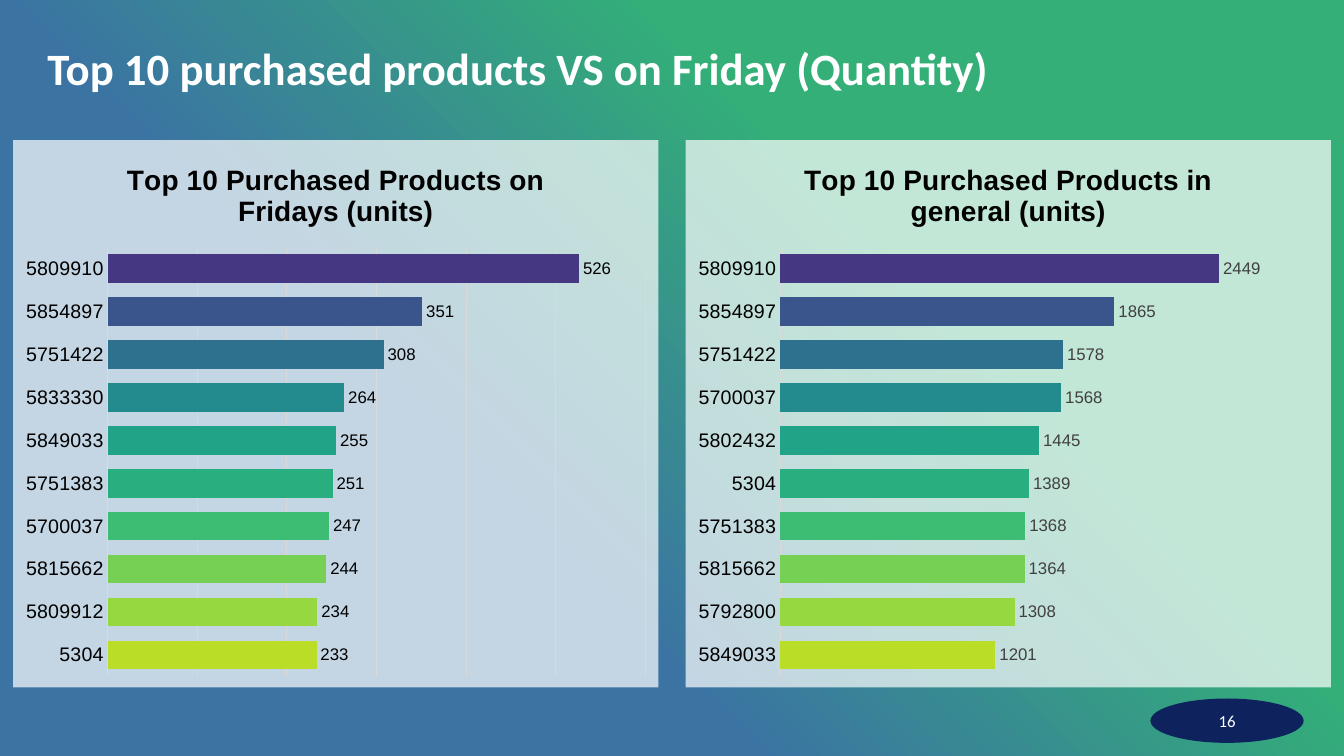
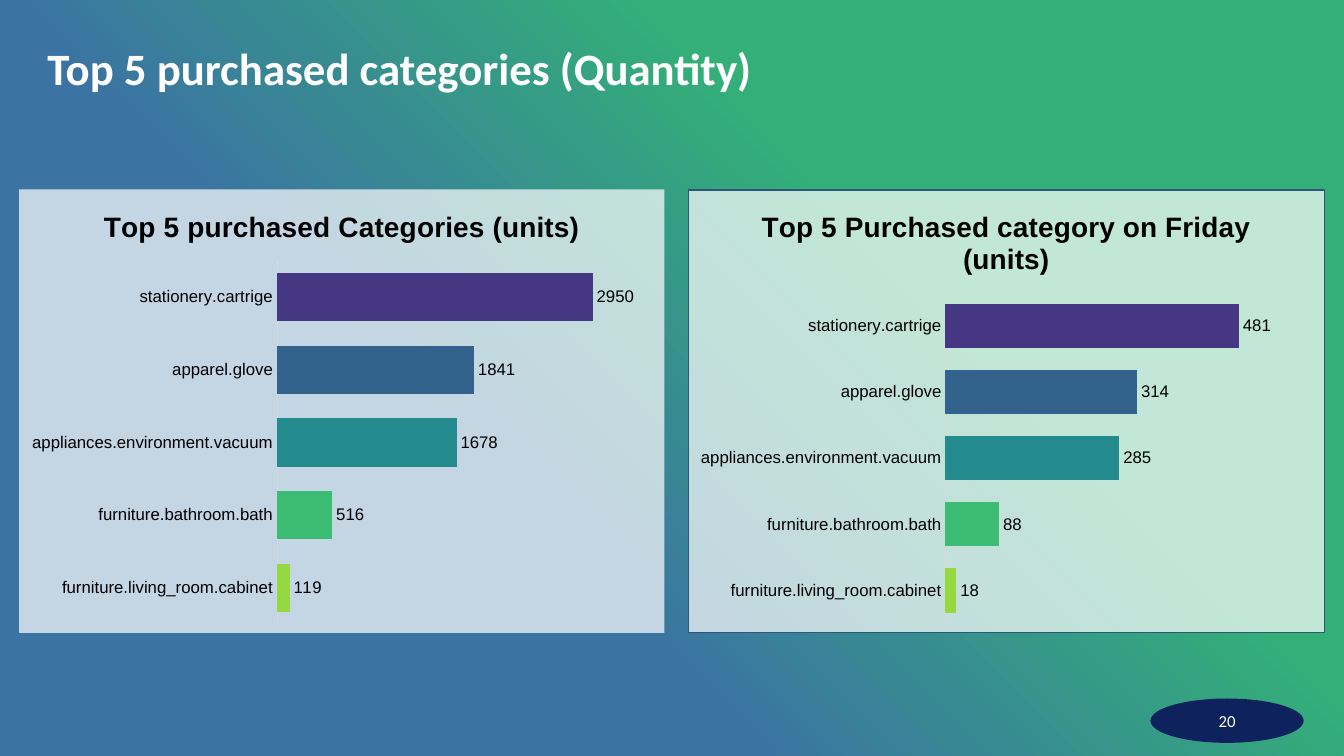
import lxml.etree
import pptx
import pptx.chart.data
import pptx.dml.color
import pptx.enum.chart
import pptx.enum.shapes
import pptx.enum.text
import pptx.oxml
import pptx.oxml.ns
import pptx.util
from pptx.util import Inches

COLORS = {
    "green": "33AF77",
    "blue": "3B74A3",
    "navy": "0E225E",
    "border": "2C567A",
    "white": "FFFFFF",
    "black": "000000",
    "gray": "404040",
    "rule": "D9D9D9",
}
TEN_BARS = ["453781", "39558C", "2D718E", "238A8D", "20A386",
            "29AF7F", "3DBC74", "75D054", "95D840", "BADE28"]
FIVE_BARS = ["453781", "33638D", "238A8D", "3DBC74", "95D840"]
GRADIENT_STOPS = [(0, "green"), (33, "green"), (64, "blue"), (100, "blue")]

TITLE_FONT = "Calibri"
CHART_FONT = "Arial"
TITLE_ONLY_LAYOUT = 5

# Products and categories run from the top bar down.
FRIDAY_PRODUCTS = [
    ("5809910", 526), ("5854897", 351), ("5751422", 308), ("5833330", 264),
    ("5849033", 255), ("5751383", 251), ("5700037", 247), ("5815662", 244),
    ("5809912", 234), ("5304", 233),
]
ALL_PRODUCTS = [
    ("5809910", 2449), ("5854897", 1865), ("5751422", 1578), ("5700037", 1568),
    ("5802432", 1445), ("5304", 1389), ("5751383", 1368), ("5815662", 1364),
    ("5792800", 1308), ("5849033", 1201),
]
CATEGORIES = ["stationery.cartrige", "apparel.glove", "appliances.environment.vacuum",
              "furniture.bathroom.bath", "furniture.living_room.cabinet"]
ALL_CATEGORIES = list(zip(CATEGORIES, [2950, 1841, 1678, 516, 119]))
FRIDAY_CATEGORIES = list(zip(CATEGORIES, [481, 314, 285, 88, 18]))


def rgb(hex_color):
    return pptx.dml.color.RGBColor.from_string(hex_color)


def style_font(font, name, size, color, bold=False):
    font.name = name
    font.size = pptx.util.Pt(size)
    font.bold = bold
    font.color.rgb = rgb(COLORS[color])


def set_gradient_background(master):
    """Blend from green at the top right corner to blue at the bottom left."""
    master.background.fill.solid()
    stops = "".join(
        f'<a:gs pos="{position * 1000}"><a:srgbClr val="{COLORS[color]}"/></a:gs>'
        for position, color in GRADIENT_STOPS
    )
    gradient = pptx.oxml.parse_xml(
        f'<a:gradFill {pptx.oxml.ns.nsdecls("a")} rotWithShape="1"><a:gsLst>{stops}</a:gsLst>'
        '<a:path path="circle"><a:fillToRect l="100000" b="100000"/></a:path>'
        '<a:tileRect t="-100000" r="-100000"/></a:gradFill>'
    )
    properties = master.element.find(".//" + pptx.oxml.ns.qn("p:bgPr"))
    properties.replace(properties.find(pptx.oxml.ns.qn("a:solidFill")), gradient)


def set_title(slide, text):
    title = slide.shapes.title
    title.left, title.top = Inches(0.47), Inches(0.47)
    title.width, title.height = Inches(12.39), Inches(0.47)
    frame = title.text_frame
    frame.margin_left = frame.margin_right = frame.margin_top = frame.margin_bottom = 0
    frame.vertical_anchor = pptx.enum.text.MSO_ANCHOR.MIDDLE
    paragraph = frame.paragraphs[0]
    paragraph.alignment = pptx.enum.text.PP_ALIGN.LEFT
    paragraph.line_spacing = 0.9
    run = paragraph.add_run()
    run.text = text
    style_font(run.font, TITLE_FONT, 32, "white", bold=True)


def add_page_badge(slide, number):
    badge = slide.shapes.add_shape(
        pptx.enum.shapes.MSO_SHAPE.OVAL,
        Inches(11.41), Inches(6.93), Inches(1.52), Inches(0.44))
    badge.shadow.inherit = False
    badge.fill.solid()
    badge.fill.fore_color.rgb = rgb(COLORS["navy"])
    badge.line.fill.background()
    badge.text_frame.vertical_anchor = pptx.enum.text.MSO_ANCHOR.MIDDLE
    paragraph = badge.text_frame.paragraphs[0]
    paragraph.alignment = pptx.enum.text.PP_ALIGN.CENTER
    run = paragraph.add_run()
    run.text = str(number)
    style_font(run.font, TITLE_FONT, 12, "white")


def set_chart_panel(chart, border):
    """Put a translucent white panel behind the chart."""
    if border:
        line = (f'<a:ln w="9525"><a:solidFill><a:srgbClr val="{COLORS[border]}"/>'
                '</a:solidFill></a:ln>')
    else:
        line = "<a:ln><a:noFill/></a:ln>"
    panel = pptx.oxml.parse_xml(
        f'<c:spPr {pptx.oxml.ns.nsdecls("c", "a")}><a:solidFill>'
        f'<a:srgbClr val="{COLORS["white"]}"><a:alpha val="70000"/></a:srgbClr>'
        f'</a:solidFill>{line}</c:spPr>'
    )
    chart.element.find(pptx.oxml.ns.qn("c:chart")).addnext(panel)


def set_chart_title(chart, text):
    chart.has_title = True
    run = chart.chart_title.text_frame.paragraphs[0].add_run()
    run.text = text
    style_font(run.font, CHART_FONT, 20, "black", bold=True)
    chart.chart_title.include_in_layout = False


def style_rule(line):
    line.color.rgb = rgb(COLORS["rule"])
    line.width = pptx.util.Pt(0.75)


def style_axes(chart, category_size, gridlines):
    category_axis = chart.category_axis
    category_axis.major_tick_mark = pptx.enum.chart.XL_TICK_MARK.NONE
    category_axis.minor_tick_mark = pptx.enum.chart.XL_TICK_MARK.NONE
    style_font(category_axis.tick_labels.font, CHART_FONT, category_size, "black")
    style_rule(category_axis.format.line)

    value_axis = chart.value_axis
    value_axis.minimum_scale = 0
    value_axis.has_major_gridlines = gridlines
    if gridlines:
        style_rule(value_axis.major_gridlines.format.line)
    value_axis.visible = False


def style_bars(plot, colors, label_color):
    plot.gap_width = 50
    plot.vary_by_categories = False
    series = plot.series[0]
    series.invert_if_negative = False
    for index, color in enumerate(colors):
        fill = series.points[index].format.fill
        fill.solid()
        fill.fore_color.rgb = rgb(color)
    plot.has_data_labels = True
    labels = plot.data_labels
    labels.show_value = True
    labels.position = pptx.enum.chart.XL_LABEL_POSITION.OUTSIDE_END
    style_font(labels.font, CHART_FONT, 12, label_color)


def add_ranking_chart(slide, box, title, ranking, colors, category_size,
                      label_color="black", gridlines=False, border=None):
    """Draw a ranking, largest first, as bars from top to bottom."""
    bottom_up = ranking[::-1]
    data = pptx.chart.data.CategoryChartData()
    data.categories = [name for name, units in bottom_up]
    data.add_series("Series 1", [units for name, units in bottom_up])
    chart = slide.shapes.add_chart(
        pptx.enum.chart.XL_CHART_TYPE.BAR_CLUSTERED,
        *(Inches(length) for length in box), data).chart
    chart.has_legend = False
    style_font(chart.font, CHART_FONT, 10, "black")
    set_chart_panel(chart, border)
    set_chart_title(chart, title)
    style_axes(chart, category_size, gridlines)
    style_bars(chart.plots[0], colors[::-1], label_color)


def add_slide(presentation, title, number):
    slide = presentation.slides.add_slide(presentation.slide_layouts[TITLE_ONLY_LAYOUT])
    set_title(slide, title)
    add_page_badge(slide, number)
    return slide


def main():
    presentation = pptx.Presentation()
    presentation.slide_width = Inches(13.33)
    presentation.slide_height = Inches(7.5)
    set_gradient_background(presentation.slide_master)

    products = add_slide(presentation, "Top 10 purchased products VS on Friday (Quantity)", 16)
    add_ranking_chart(products, (0.13, 1.39, 6.4, 5.43),
                      "Top 10 Purchased Products on Fridays (units)",
                      FRIDAY_PRODUCTS, TEN_BARS, 14, gridlines=True)
    add_ranking_chart(products, (6.8, 1.39, 6.4, 5.43),
                      "Top 10 Purchased Products in general (units)",
                      ALL_PRODUCTS, TEN_BARS, 14, label_color="gray")

    categories = add_slide(presentation, "Top 5 purchased categories (Quantity)", 20)
    add_ranking_chart(categories, (0.19, 1.88, 6.4, 4.4),
                      "Top 5 purchased Categories (units)",
                      ALL_CATEGORIES, FIVE_BARS, 12)
    add_ranking_chart(categories, (6.82, 1.88, 6.32, 4.4),
                      "Top 5 Purchased category on Friday (units)",
                      FRIDAY_CATEGORIES, FIVE_BARS, 12, border="border")

    presentation.save("out.pptx")


if __name__ == "__main__":
    main()
